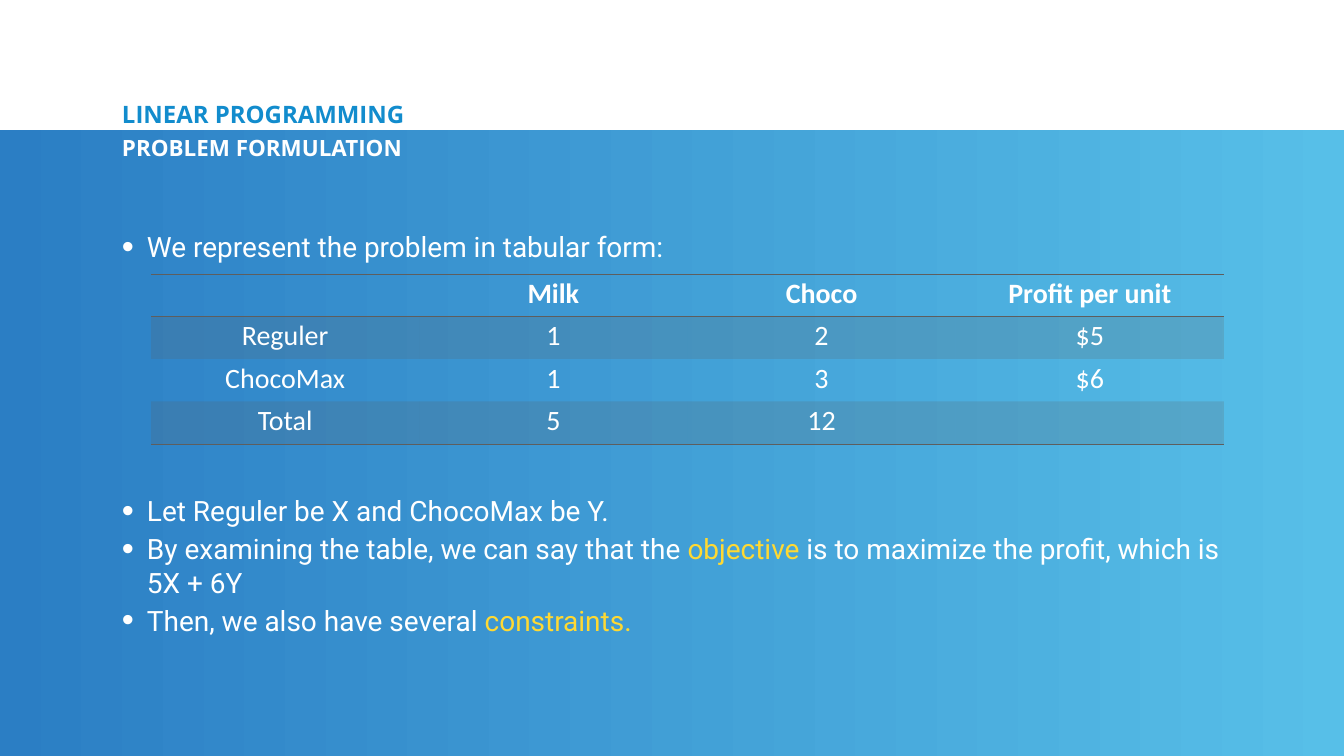
from pptx import Presentation
from pptx.dml.color import RGBColor
from pptx.enum.shapes import MSO_SHAPE as Shape
from pptx.enum.text import MSO_ANCHOR as Anchor, MSO_AUTO_SIZE as Fit, PP_ALIGN as Align
from pptx.oxml.ns import qn
from pptx.util import Pt
from lxml.etree import SubElement as Sub

SCALE = 914400 / 50.4  # EMU per px
PLAIN = "{2D5ABB26-0587-4C30-8999-92F81FD0307C}"  # no style, no grid


def px(n):
    return round(n * SCALE)


def color(text):
    return RGBColor.from_string(text)


class Deck:
    white, blue, gold, gray = "FFFFFF", "128CCD", "FFD932", "5E5E5E"
    head, body, grid = "Open Sans", "Roboto", "Calibri"

    def __init__(self, wide, high):
        self.prs = Presentation()
        self.prs.slide_width, self.prs.slide_height = px(wide), px(high)
        self.slide = self.prs.slides.add_slide(self.prs.slide_layouts[3])

    def font(self, para, name, size, tint, bold=False):
        font = para.font
        font.name, font.size, font.bold = name, Pt(size), bold
        font.color.rgb = color(tint)

    def panel(self, x, y, w, h, start, end):
        box = self.slide.shapes.add_shape(Shape.RECTANGLE, px(x), px(y), px(w), px(h))
        box.shadow.inherit = False
        box.line.fill.background()
        box.fill.gradient()
        box.fill.gradient_angle = 0
        for stop, tint, pos in zip(box.fill.gradient_stops, (start, end), (0, 1)):
            stop.color.rgb, stop.position = color(tint), pos
        self.slide.shapes.element.insert(2, box.element)  # behind the text

    def place(self, idx, x, y, w, h, anchor=Anchor.TOP):
        hold = self.slide.placeholders[idx]
        hold.left, hold.top, hold.width, hold.height = px(x), px(y), px(w), px(h)
        frame = hold.text_frame
        frame.word_wrap, frame.auto_size = True, Fit.NONE
        frame.vertical_anchor = anchor
        frame.margin_left = frame.margin_right = px(3)
        frame.margin_top = frame.margin_bottom = px(3)
        return frame

    def heading(self, frame, text, size, tint, lead):
        para = frame.paragraphs[0]
        props = para._p.get_or_add_pPr()
        props.set("marL", "0")
        props.set("indent", "0")
        Sub(props, qn("a:buNone"))
        para.text, para.alignment = text, Align.LEFT
        para.line_spacing, para.space_before = lead, Pt(0)
        self.font(para, self.head, size, tint, True)

    def bullets(self, frame, items):
        for i, (gap, parts) in enumerate(items):
            para = frame.add_paragraph() if i else frame.paragraphs[0]
            props = para._p.get_or_add_pPr()
            props.set("marL", str(px(25)))
            props.set("indent", str(px(-25)))
            Sub(props, qn("a:buSzPct"), val="123000")
            Sub(props, qn("a:buChar"), char="•")
            para.space_before, para.line_spacing = Pt(gap), 1.0
            self.font(para, self.body, 40, self.white)
            # Every second part is a key word
            for j, part in enumerate(parts):
                run = para.add_run()
                run.text = part
                if j % 2:
                    run.font.color.rgb = color(self.gold)

    def edge(self, cell, side):
        line = Sub(cell._tc.get_or_add_tcPr(), qn("a:" + side), w=str(Pt(1)))
        Sub(Sub(line, qn("a:solidFill")), qn("a:srgbClr"), val=self.gray)

    def table(self, x, y, w, h, rows):
        frame = self.slide.shapes.add_table(len(rows), len(rows[0]), px(x), px(y), px(w), px(h))
        table = frame.table
        table.first_row = table.horz_banding = False
        table._tbl.tblPr.find(qn("a:tableStyleId")).text = PLAIN
        for r, row in enumerate(rows):
            for c, text in enumerate(row):
                cell = table.cell(r, c)
                # Rules above and below the header, and below the last row
                if r == 0:
                    self.edge(cell, "lnT")
                if r in (0, len(rows) - 1):
                    self.edge(cell, "lnB")
                # Odd rows carry a sheer band
                if r % 2:
                    cell.fill.solid()
                    cell.fill.fore_color.rgb = color(self.gray)
                    tint = cell._tc.tcPr.find(qn("a:solidFill"))[0]
                    Sub(tint, qn("a:alpha"), val="20000")
                else:
                    cell.fill.background()
                para = cell.text_frame.paragraphs[0]
                para.text, para.alignment = text, Align.CENTER
                self.font(para, self.grid, 40, self.white, r == 0)


def main():
    deck = Deck(1344, 756)

    # Backdrop
    deck.panel(0, 130, 1344, 626, "2B7EC4", "57BFE8")

    # Title and subtitle
    title = deck.place(0, 119, 103, 811, 28, Anchor.MIDDLE)
    deck.heading(title, "LINEAR PROGRAMMING", 34.2, deck.blue, 0.8)
    topic = deck.place(1, 119, 134, 538, 44)
    deck.heading(topic, "PROBLEM FORMULATION", 32, deck.white, 0.9)

    # Bullets, with room for the table after the first
    body = deck.place(2, 119, 227, 1106, 470)
    deck.bullets(body, [
        (0, ["We represent the problem in tabular form:"]),
        (329, ["Let Reguler be X and ChocoMax be Y."]),
        (6, ["By examining the table, we can say that the ", "objective",
             " is to maximize the profit, which is 5X + 6Y"]),
        (6, ["Then, we also have several ", "constraints."]),
    ])

    # Problem table
    deck.table(151, 274, 1073, 170, [
        ["", "Milk", "Choco", "Profit per unit"],
        ["Reguler", "1", "2", "$5"],
        ["ChocoMax", "1", "3", "$6"],
        ["Total", "5", "12", ""],
    ])

    deck.prs.save("out.pptx")


if __name__ == "__main__":
    main()
